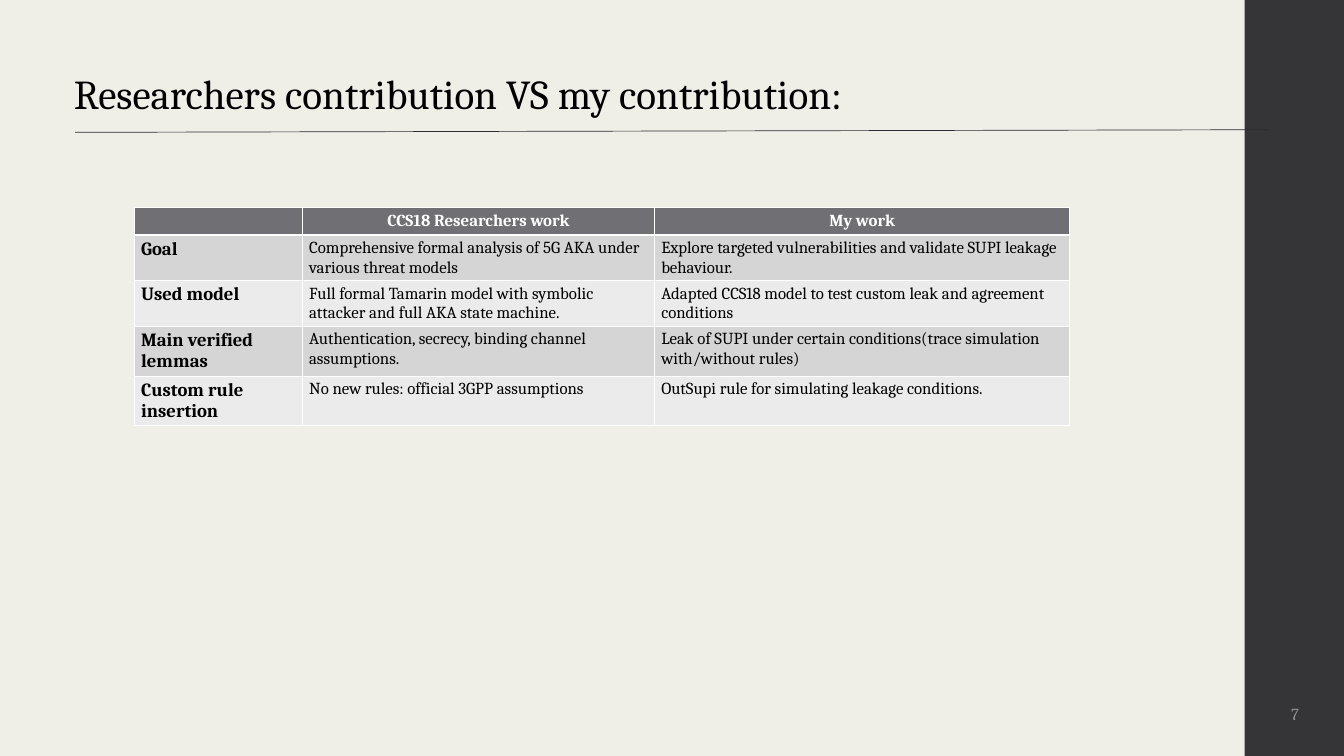
import pptx
import pptx.dml.color
import pptx.enum.shapes
import pptx.enum.text
import pptx.oxml
import pptx.oxml.ns
import pptx.util
from dataclasses import dataclass

Pt = pptx.util.Pt
ALIGN = pptx.enum.text.PP_ALIGN
ANCHOR = pptx.enum.text.MSO_ANCHOR


@dataclass(frozen=True)
class Theme:
    font: str = "Cambria"
    background: str = "EFEEE7"
    sidebar: str = "353537"
    rule: str = "2B2C30"
    text: str = "000000"
    white: str = "FFFFFF"
    number: str = "8E8E94"
    header: str = "6F6F74"
    bands: tuple = ("D5D5D6", "EBEBEB")
    title_size: float = 44
    label_size: float = 20
    body_size: float = 18


@dataclass(frozen=True)
class Comparison:
    aspect: str
    researchers: str
    mine: str


THEME = Theme()
HEADER = Comparison("", "CCS18 Researchers work", "My work")
ROWS = [
    Comparison("Goal",
               "Comprehensive formal analysis of 5G AKA under various threat models",
               "Explore targeted vulnerabilities and validate SUPI leakage behaviour."),
    Comparison("Used model",
               "Full formal Tamarin model with symbolic attacker and full AKA state machine.",
               "Adapted CCS18 model to test custom leak and agreement conditions"),
    Comparison("Main verified lemmas",
               "Authentication, secrecy, binding channel assumptions.",
               "Leak of SUPI under certain conditions(trace simulation with/without rules)"),
    Comparison("Custom rule insertion",
               "No new rules: official 3GPP assumptions",
               "OutSupi rule for simulating leakage conditions."),
]
COLUMN_WIDTHS = (180, 377.3, 445)
ROW_HEIGHT = 29.5


def rgb(value: str) -> pptx.dml.color.RGBColor:
    return pptx.dml.color.RGBColor.from_string(value)


def set_attributes(target, values: dict) -> None:
    for name, value in values.items():
        setattr(target, name, value)


def write(tf, text: str, size: float, color: str, bold: bool = False, align=ALIGN.LEFT):
    p = tf.paragraphs[0]
    p.alignment = align
    if text:
        r = p.add_run()
        r.text = text
        set_attributes(r.font, {"name": THEME.font, "size": Pt(size), "bold": bold})
        r.font.color.rgb = rgb(color)
    return p


def frame(tf, margin: float, anchor) -> None:
    set_attributes(tf, {
        "margin_left": Pt(margin), "margin_right": Pt(margin),
        "margin_top": Pt(margin), "margin_bottom": Pt(margin),
        "word_wrap": True, "vertical_anchor": anchor,
    })


def add_borders(cell, bottom: float) -> None:
    tc_pr = cell._tc.get_or_add_tcPr()
    for side, width in {"L": 1, "R": 1, "T": 1, "B": bottom}.items():
        tc_pr.append(pptx.oxml.parse_xml(
            f'<a:ln{side} {pptx.oxml.ns.nsdecls("a")} w="{Pt(width)}"><a:solidFill>'
            f'<a:srgbClr val="{THEME.white}"/></a:solidFill></a:ln{side}>'))


def fill_cell(cell, text: str, row: int, column: int) -> None:
    is_header, is_label = row == 0, column == 0
    add_borders(cell, 3 if is_header else 1)
    cell.fill.solid()
    cell.fill.fore_color.rgb = rgb(THEME.header if is_header else THEME.bands[(row - 1) % 2])
    write(cell.text_frame, text,
          THEME.label_size if is_label else THEME.body_size,
          THEME.white if is_header else THEME.text,
          is_header or is_label,
          ALIGN.CENTER if is_header else ALIGN.LEFT)


def add_comparison_table(s, left: float, top: float) -> None:
    rows = [HEADER, *ROWS]
    table = s.shapes.add_table(len(rows), len(COLUMN_WIDTHS), Pt(left), Pt(top),
                               Pt(sum(COLUMN_WIDTHS)), Pt(ROW_HEIGHT * len(rows))).table
    for column, width in zip(table.columns, COLUMN_WIDTHS):
        column.width = Pt(width)
    for i, item in enumerate(rows):
        table.rows[i].height = Pt(ROW_HEIGHT)
        for j, text in enumerate((item.aspect, item.researchers, item.mine)):
            fill_cell(table.cell(i, j), text, i, j)


def main() -> None:
    prs = pptx.Presentation()
    set_attributes(prs, {"slide_width": Pt(1440), "slide_height": Pt(810)})
    s = prs.slides.add_slide(prs.slide_layouts[5])
    s.background.fill.solid()
    s.background.fill.fore_color.rgb = rgb(THEME.background)

    # Title
    title = s.shapes.title
    set_attributes(title, {"left": Pt(79.2), "top": Pt(74.2),
                           "width": Pt(1278), "height": Pt(52.5)})
    frame(title.text_frame, 0, ANCHOR.TOP)
    title.text_frame.auto_size = pptx.enum.text.MSO_AUTO_SIZE.NONE
    p = write(title.text_frame, "Researchers contribution VS my contribution:",
              THEME.title_size, THEME.text)
    p.line_spacing = Pt(52)

    # Dark sidebar
    sp = s.shapes.add_shape(pptx.enum.shapes.MSO_SHAPE.RECTANGLE,
                            Pt(1333.5), Pt(0), Pt(108), Pt(810))
    sp.shadow.inherit = False
    sp.fill.solid()
    sp.fill.fore_color.rgb = rgb(THEME.sidebar)
    sp.line.fill.background()

    # Rule under the title
    rule = s.shapes.add_connector(pptx.enum.shapes.MSO_CONNECTOR.STRAIGHT,
                                  Pt(80.6), Pt(141.8), Pt(1358.6), Pt(139))
    rule.line.color.rgb = rgb(THEME.rule)
    rule.line.width = Pt(0.75)
    rule._element.spPr.append(
        pptx.oxml.parse_xml(f'<a:effectLst {pptx.oxml.ns.nsdecls("a")}/>'))

    add_comparison_table(s, 144, 222.5)

    # Slide number
    number = s.shapes.add_textbox(Pt(1333.5), Pt(729.4), Pt(108), Pt(69.8))
    frame(number.text_frame, 3.6, ANCHOR.MIDDLE)
    write(number.text_frame, "7", THEME.body_size, THEME.number, align=ALIGN.CENTER)

    prs.save("out.pptx")


if __name__ == "__main__":
    main()
